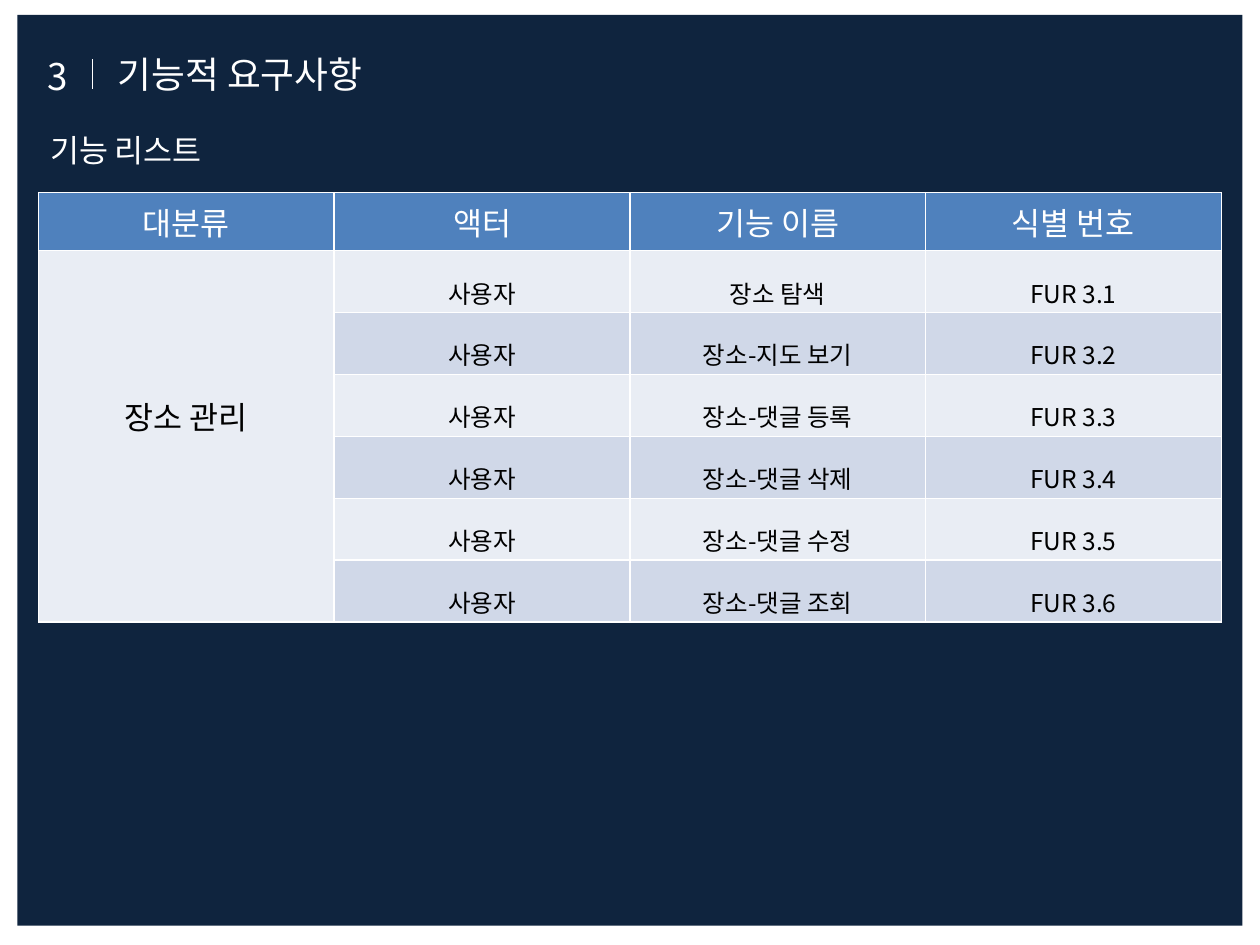
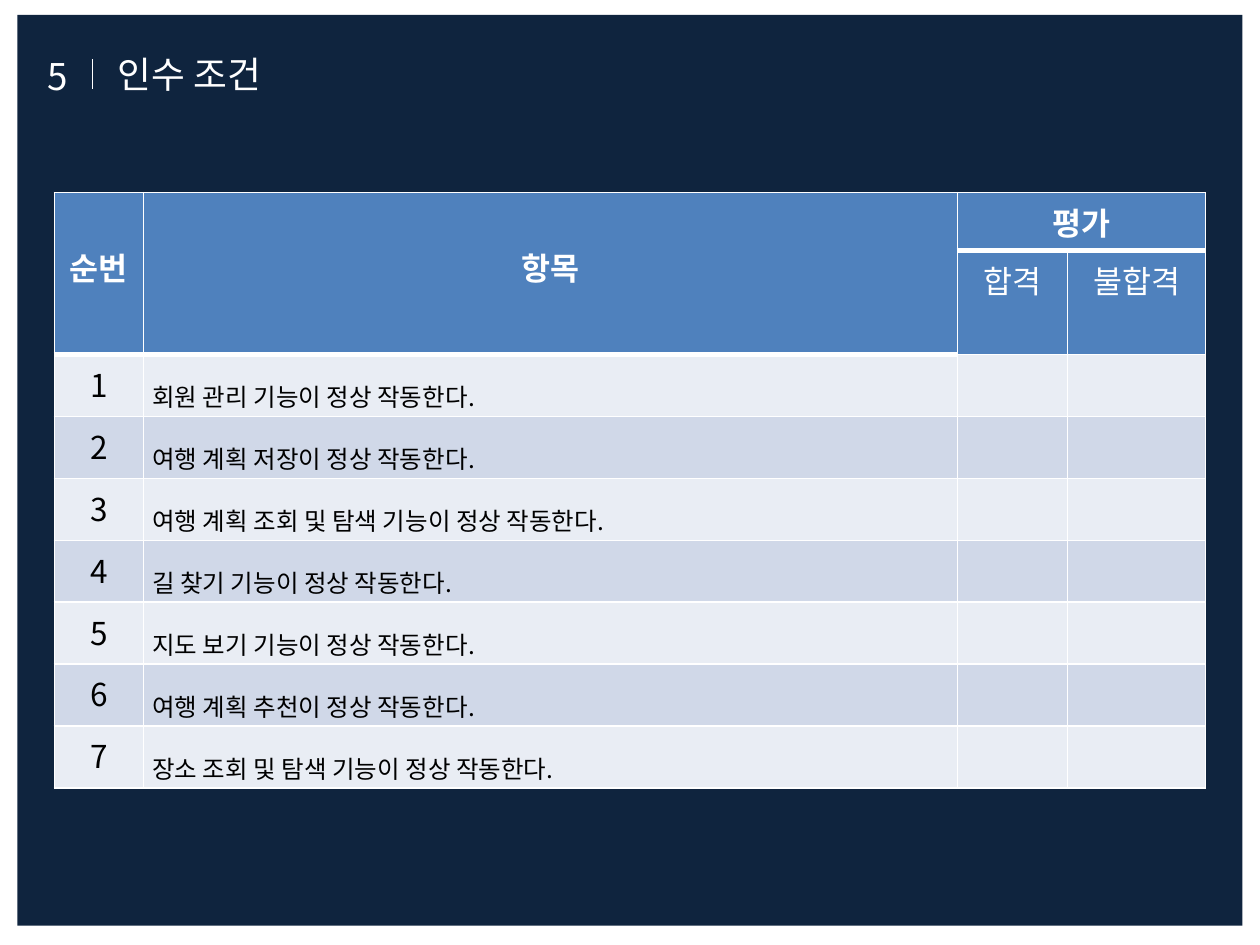
from lxml import etree
from pptx import Presentation
from pptx import util as u
from pptx.dml import color
from pptx.enum import shapes, text
from pptx.oxml import ns

Pt = u.Pt
COLORS = {
    "paper": "FFFFFF",
    "navy": "0F243E",
    "header": "4F81BD",
    "odd": "E9EDF4",
    "even": "D0D8E8",
    "ink": "000000",
}
FONT = "Noto Sans CJK KR"
HEADER_HEIGHT, ROW_HEIGHT = 33.2, 35.4
NO_STYLE = "{2D5ABB26-0587-4C30-8999-92F81FD0307C}"


def rgb(name):
    return color.RGBColor.from_string(COLORS[name])


class Deck:
    def __init__(self):
        self.prs = Presentation()
        self.prs.slide_width, self.prs.slide_height = Pt(720), Pt(540)
        self.slide = None

    def section(self, number, heading):
        self.slide = self.prs.slides.add_slide(self.prs.slide_layouts[6])
        self.panel(10, 8.5, 700, 520.5)
        self.label(number, 20, 9.5, 51, 67.5, 21, spacing=-150, middle=True)
        self.label(heading, 60, 26, 323, 91, 21)
        self.divider(52.8, 34, 51)

    def panel(self, left, top, width, height):
        panel = self.slide.shapes.add_shape(
            shapes.MSO_SHAPE.RECTANGLE, Pt(left), Pt(top), Pt(width), Pt(height))
        panel.shadow.inherit = False
        panel.fill.solid()
        panel.fill.fore_color.rgb = rgb("navy")
        panel.line.fill.background()

    def divider(self, x, top, bottom):
        divider = self.slide.shapes.add_connector(
            shapes.MSO_CONNECTOR.STRAIGHT, Pt(x), Pt(top), Pt(x), Pt(bottom))
        divider.line.color.rgb = rgb("paper")
        divider.line.width = Pt(0.25)
        etree.SubElement(divider._element.spPr, ns.qn("a:effectLst"))

    def set_words(self, frame, words, size, ink, bold=False, spacing=0):
        paragraph = frame.paragraphs[0]
        paragraph.text = words
        font = paragraph.font
        font.name, font.size, font.bold = FONT, Pt(size), bold
        font.color.rgb = rgb(ink)
        east_asian = etree.SubElement(font._rPr, ns.qn("a:ea"))
        east_asian.set("typeface", FONT)
        if spacing:
            font._rPr.set("spc", str(spacing))
        return paragraph

    def label(self, words, left, top, width, height, size, spacing=0, middle=False):
        box = self.slide.shapes.add_textbox(Pt(left), Pt(top), Pt(width), Pt(height))
        frame = box.text_frame
        frame.word_wrap = True
        if middle:
            frame.vertical_anchor = text.MSO_ANCHOR.MIDDLE
        return self.set_words(frame, words, size, "paper", spacing=spacing)

    def grid(self, left, top, widths, heights, header_rows=1, heavy=()):
        frame = self.slide.shapes.add_table(
            len(heights), len(widths), Pt(left), Pt(top),
            Pt(sum(widths)), Pt(sum(heights)))
        table = frame.table
        table.first_row = table.horz_banding = False
        table._tbl.tblPr.find(ns.qn("a:tableStyleId")).text = NO_STYLE
        for column, width in zip(table.columns, widths):
            column.width = Pt(width)
        for r, height in enumerate(heights):
            table.rows[r].height = Pt(height)
            body_fill = "even" if (r - header_rows) % 2 else "odd"
            for c in range(len(widths)):
                cell = table.cell(r, c)
                cell.fill.solid()
                cell.fill.fore_color.rgb = rgb("header" if r < header_rows else body_fill)
                self.borders(cell, top=3 if (r - 1, c) in heavy else 1,
                             bottom=3 if (r, c) in heavy else 1)
        return table

    def borders(self, cell, top, bottom):
        properties = cell._tc.get_or_add_tcPr()
        edges = {"a:lnL": 1, "a:lnR": 1, "a:lnT": top, "a:lnB": bottom}
        for position, (edge, width) in enumerate(edges.items()):
            line = etree.Element(ns.qn(edge), w=str(Pt(width)))
            fill = etree.SubElement(line, ns.qn("a:solidFill"))
            etree.SubElement(fill, ns.qn("a:srgbClr"), val=COLORS["paper"])
            properties.insert(position, line)

    def heading_cell(self, cell, words, ink="paper", bold=False, drop=0):
        cell.margin_top = Pt(3.6 + drop)
        paragraph = self.set_words(cell.text_frame, words, 18, ink, bold)
        paragraph.alignment = text.PP_ALIGN.CENTER

    def body_cell(self, cell, words, align=text.PP_ALIGN.CENTER):
        cell.margin_left = cell.margin_right = Pt(5)
        cell.margin_top = cell.margin_bottom = Pt(1.4)
        cell.vertical_anchor = text.MSO_ANCHOR.MIDDLE
        paragraph = self.set_words(cell.text_frame, words, 14, "ink")
        paragraph.alignment = align
        paragraph.line_spacing = 1.6


def feature_list(deck):
    deck.section("3", "기능적 요구사항")
    deck.label("기능 리스트", 22, 65.5, 678, 73.5, 18, spacing=-20).line_spacing = 1.28
    features = ["장소 탐색", "장소-지도 보기", "장소-댓글 등록",
                "장소-댓글 삭제", "장소-댓글 수정", "장소-댓글 조회"]
    table = deck.grid(22, 110, [169] * 4, [HEADER_HEIGHT] + [ROW_HEIGHT] * len(features))
    for c, title in enumerate(["대분류", "액터", "기능 이름", "식별 번호"]):
        deck.heading_cell(table.cell(0, c), title)
    category = table.cell(1, 0)
    category.merge(table.cell(len(features), 0))
    deck.heading_cell(category, "장소 관리", ink="ink", drop=78)
    for r, feature in enumerate(features, 1):
        for c, words in enumerate(["사용자", feature, f"FUR 3.{r}"], 1):
            deck.body_cell(table.cell(r, c), words)


def acceptance_criteria(deck):
    deck.section("5", "인수 조건")
    criteria = ["회원 관리 기능이", "여행 계획 저장이", "여행 계획 조회 및 탐색 기능이",
                "길 찾기 기능이", "지도 보기 기능이", "여행 계획 추천이",
                "장소 조회 및 탐색 기능이"]
    table = deck.grid(
        31, 110, [51, 465, 63, 79],
        [HEADER_HEIGHT, 59.4] + [ROW_HEIGHT] * len(criteria), header_rows=2,
        heavy={(0, 0), (0, 1), (0, 2), (0, 3), (1, 0), (1, 1)})
    for c, title in enumerate(["순번", "항목"]):
        table.cell(0, c).merge(table.cell(1, c))
        deck.heading_cell(table.cell(0, c), title, bold=True, drop=26)
    table.cell(0, 2).merge(table.cell(0, 3))
    deck.heading_cell(table.cell(0, 2), "평가", bold=True)
    for c, verdict in enumerate(["합격", "불합격"], 2):
        deck.heading_cell(table.cell(1, c), verdict)
    for number, subject in enumerate(criteria, 1):
        deck.heading_cell(table.cell(number + 1, 0), str(number), ink="ink")
        deck.body_cell(table.cell(number + 1, 1), f"{subject} 정상 작동한다.",
                       text.PP_ALIGN.LEFT)


def main():
    deck = Deck()
    feature_list(deck)
    acceptance_criteria(deck)
    deck.prs.save("out.pptx")


if __name__ == "__main__":
    main()
